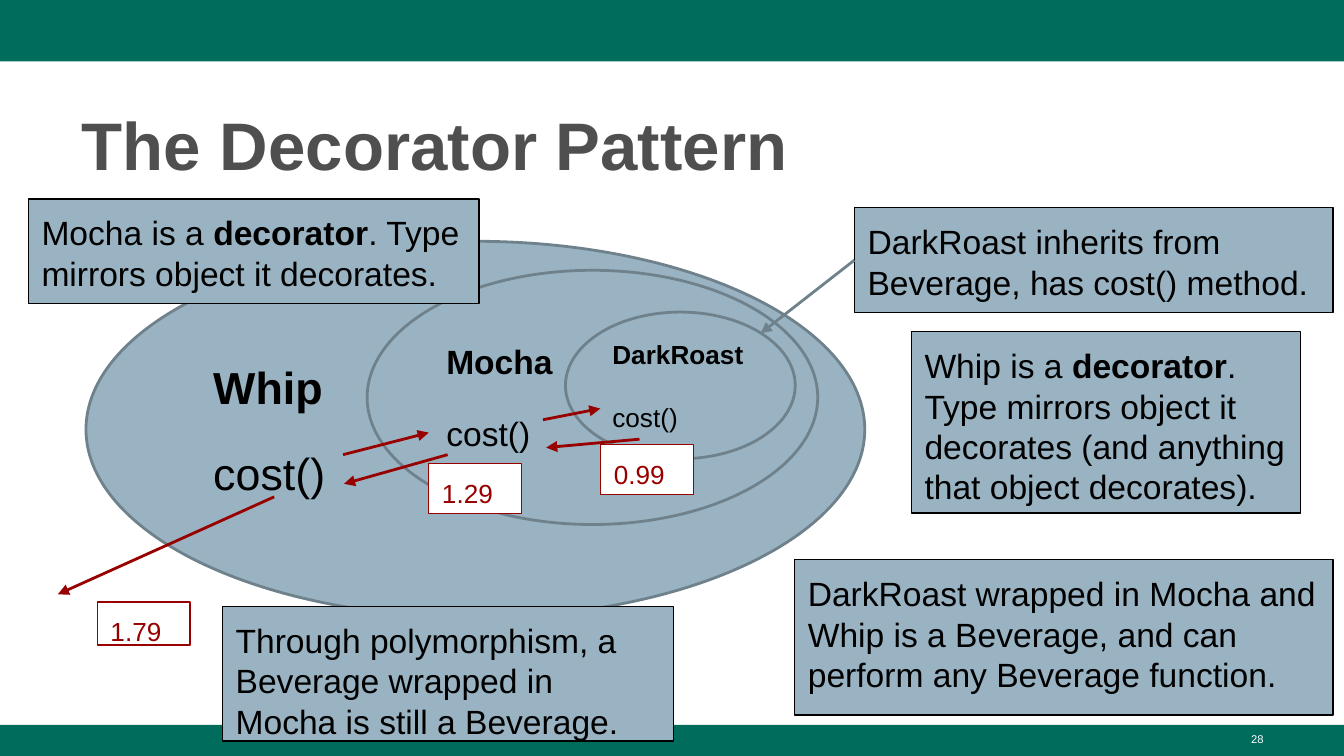
from lxml import etree
from pptx import Presentation
from pptx.dml.color import RGBColor
from pptx.enum import shapes, text
from pptx.oxml import ns
from pptx.util import Pt

COLORS = {
    "green": "006C5C", "blue": "99B3C2", "slate": "6F828C", "red": "980000",
    "title": "4F4F4F", "black": "000000", "white": "FFFFFF",
}


class PageBuilder:
    """Holds the style and the current page; all lengths are points."""

    font_name = "Arial"
    inset = 7.2
    line_spacing = 1.0

    def __init__(self, page):
        self.page = page

    def color(self, name):
        return RGBColor.from_string(COLORS[name])

    def add_span(self, para, words, size, color, bold=False):
        span = para.add_run()
        span.text = words
        font = span.font
        font.name, font.size, font.bold = self.font_name, Pt(size), bold
        font.color.rgb = self.color(color)

    def set_insets(self, frame, side, top, bottom):
        frame.margin_left = frame.margin_right = Pt(side)
        frame.margin_top, frame.margin_bottom = Pt(top), Pt(bottom)
        frame.word_wrap = True

    def title(self, words, left, top, width, height):
        box = self.page.shapes.title
        box.left, box.top, box.width, box.height = map(Pt, (left, top, width, height))
        frame = box.text_frame
        self.set_insets(frame, self.inset, 3.6, 2.4)
        frame.vertical_anchor = text.MSO_ANCHOR.BOTTOM
        para = frame.paragraphs[0]
        para.alignment = text.PP_ALIGN.LEFT
        para.line_spacing = 1.08
        self.add_span(para, words, 36, "title", True)

    def shape(self, kind, place, fill, line=None, line_width=0.75):
        box = self.page.shapes.add_shape(kind, *map(Pt, place))
        box.shadow.inherit = False
        box.fill.solid()
        box.fill.fore_color.rgb = self.color(fill)
        if line:
            box.line.color.rgb = self.color(line)
            box.line.width = Pt(line_width)
        else:
            box.line.fill.background()
        self.set_insets(box.text_frame, self.inset, self.inset, self.inset)
        return box

    def bar(self, top, height):
        self.shape(shapes.MSO_SHAPE.RECTANGLE, (0, top, 720, height), "green")

    def left_para(self, para):
        para.alignment = text.PP_ALIGN.LEFT
        para.line_spacing = self.line_spacing
        return para

    def wrapper(self, name, size, *place):
        """Adds an ellipse for an object, with its name above its method."""
        box = self.shape(shapes.MSO_SHAPE.OVAL, place, "blue", "slate", 1.5)
        frame = box.text_frame
        frame.vertical_anchor = text.MSO_ANCHOR.MIDDLE
        self.add_span(self.left_para(frame.paragraphs[0]), name, size, "black", True)
        method = self.left_para(frame.add_paragraph())
        method.space_before = Pt(17)
        self.add_span(method, "cost()", size, "black")

    def label(self, spans, place, fill, line, size, color):
        box = self.shape(shapes.MSO_SHAPE.RECTANGLE, place, fill, line)
        box.text_frame.vertical_anchor = text.MSO_ANCHOR.TOP
        para = self.left_para(box.text_frame.paragraphs[0])
        for words, bold in spans:
            self.add_span(para, words, size, color, bold)
        return box

    def callout(self, place, before, strong="", after=""):
        spans = [(before, False), (strong, True), (after, False)]
        spans = [span for span in spans if span[0]]
        return self.label(spans, place, "blue", "black", 18, "black")

    def price(self, words, left, top, height=26.6):
        place = (left, top, 49.7, height)
        self.label([(words, False)], place, "white", "red", 14, "red")

    def arrow(self, start, end, color="red"):
        line = self.page.shapes.add_connector(
            shapes.MSO_CONNECTOR.STRAIGHT, *map(Pt, start + end))
        line.line.color.rgb = self.color(color)
        line.line.width = Pt(1.5)
        head = etree.SubElement(line.line._get_or_add_ln(), ns.qn("a:tailEnd"))
        head.set("type", "triangle")
        etree.SubElement(line._element.spPr, ns.qn("a:effectLst"))
        return line

    def page_number(self, words, *place):
        box = self.page.shapes.add_textbox(*map(Pt, place))
        self.set_insets(box.text_frame, self.inset, 3.6, 3.6)
        para = box.text_frame.paragraphs[0]
        para.alignment = text.PP_ALIGN.RIGHT
        self.add_span(para, words, 6, "white")


def main():
    deck = Presentation()
    deck.slide_width, deck.slide_height = Pt(720), Pt(405)
    builder = PageBuilder(deck.slides.add_slide(deck.slide_layouts[5]))

    builder.bar(0, 33)
    builder.bar(388.3, 16.7)
    builder.title("The Decorator Pattern", 36.7, 48.2, 647.3, 52.6)

    builder.wrapper("Whip", 24, 46.1, 129.3, 417.2, 201.6)
    builder.wrapper("Mocha", 18, 196.7, 144.8, 241.4, 136.2)
    builder.wrapper("DarkRoast", 14, 302.9, 167.2, 123.1, 78.6)

    inherits = builder.callout(
        (457.7, 111.3, 256.5, 56.2),
        "DarkRoast inherits from Beverage, has cost() method.")
    pointer = builder.arrow((457.7, 139.4), (407.5, 178.6), "slate")
    pointer.begin_connect(inherits, 1)
    builder.callout((15.2, 106.6, 241.5, 56),
                    "Mocha is a ", "decorator", ". Type mirrors object it decorates.")
    builder.callout(
        (119.2, 324.9, 241.5, 72.2),
        "Through polymorphism, a Beverage wrapped in Mocha is still a Beverage.")
    builder.callout(
        (488.2, 177.7, 208.6, 97.2), "Whip is a ", "decorator",
        ". Type mirrors object it decorates (and anything that object decorates).")
    builder.callout(
        (425.7, 299.9, 288.5, 83.2),
        "DarkRoast wrapped in Mocha and Whip is a Beverage, "
        "and can perform any Beverage function.")

    builder.arrow((183.8, 243.6), (229.7, 231.8))
    builder.arrow((290.9, 224.9), (321.6, 218.9))
    builder.arrow((342.6, 235.3), (292.6, 239.8))
    builder.price("0.99", 321.8, 238.3)
    builder.arrow((239.8, 243.6), (184.3, 259.2))
    builder.price("1.29", 229.7, 248.4)
    builder.arrow((146.9, 266.2), (31, 318.4))
    builder.price("1.79", 52.1, 322.6, 23)

    builder.page_number("28", 516.2, 388.6, 167.8, 16.4)
    deck.save("out.pptx")


if __name__ == "__main__":
    main()
